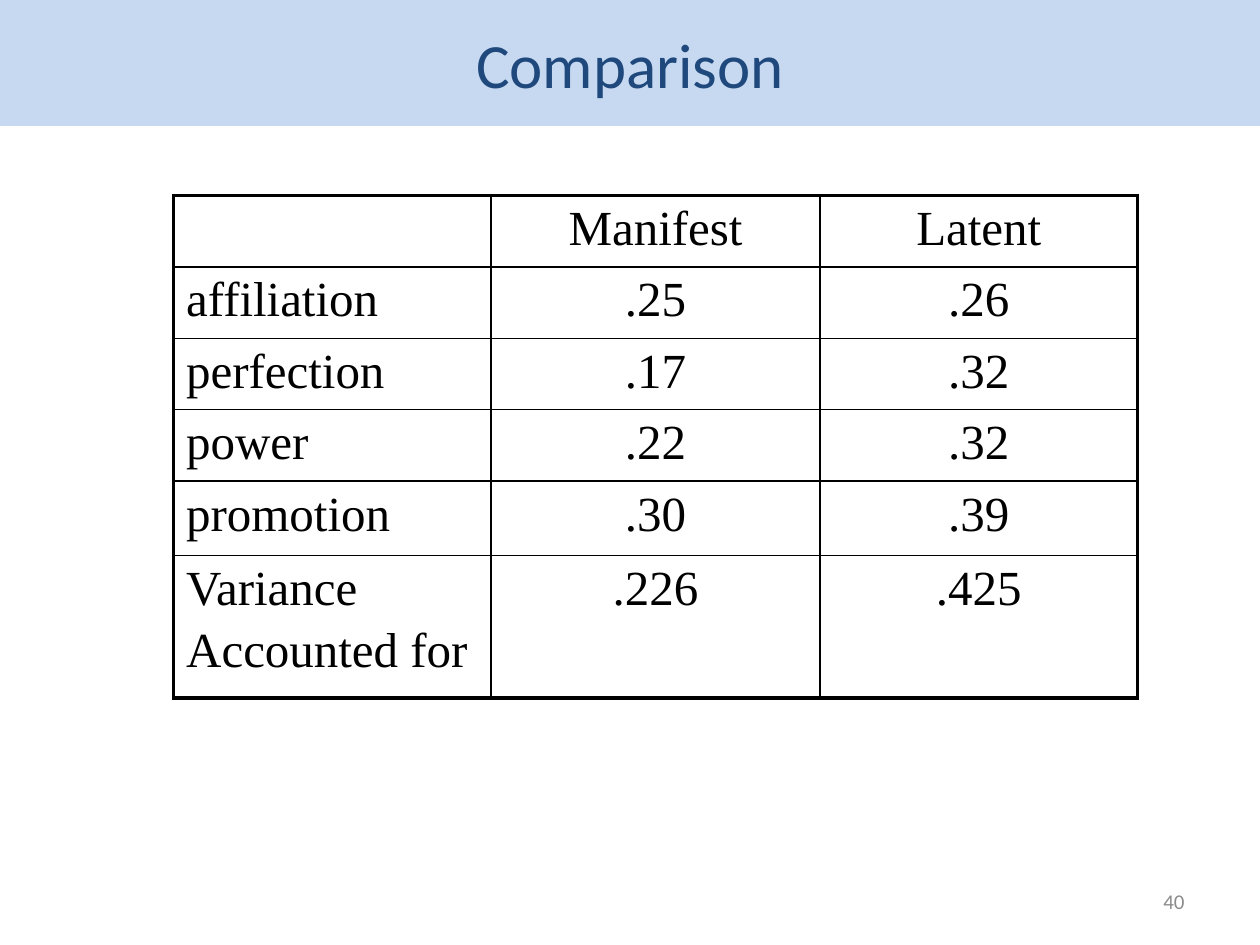
from lxml import etree
from pptx import Presentation
from pptx.dml.color import RGBColor
from pptx.enum.shapes import MSO_SHAPE
from pptx.enum.text import MSO_ANCHOR, PP_ALIGN
from pptx.oxml.ns import qn
from pptx.util import Cm, Pt

RECT = MSO_SHAPE.RECTANGLE
MIDDLE = MSO_ANCHOR.MIDDLE
LEFT, CENTER, RIGHT = PP_ALIGN.LEFT, PP_ALIGN.CENTER, PP_ALIGN.RIGHT

# Content
TITLE = "Comparison"
NUMBER = "40"
ROWS = [
    ("", "Manifest", "Latent"),
    ("affiliation", ".25", ".26"),
    ("perfection", ".17", ".32"),
    ("power", ".22", ".32"),
    ("promotion", ".30", ".39"),
    ("Variance\nAccounted for", ".226", ".425"),
]

# Style and sizes in cm
COLORS = {"band": "C6D9F1", "title": "1F497D", "text": "000000",
          "number": "8C8C8C", "border": "000000"}
SANS, SERIF = "Calibri", "Times New Roman"
WIDTHS = [6.4, 6.63, 6.4]
HEIGHTS = [1.44, 1.44, 1.44, 1.44, 1.5, 2.87]
THIN, THICK = Pt(1), Pt(2.25)


def color(name):
    return RGBColor.from_string(COLORS[name])


def write(frame, text, font, size, tint, align):
    for i, line in enumerate(text.split("\n")):
        para = frame.add_paragraph() if i else frame.paragraphs[0]
        para.alignment = align
        if i:
            para.space_before = Pt(4.5)
        if line:
            run = para.add_run()
            run.text = line
            run.font.name = font
            run.font.size = Pt(size)
            run.font.color.rgb = color(tint)


def outline(cell, edges):
    props = cell._tc.get_or_add_tcPr()
    for i, (side, outer) in enumerate(edges):
        line = etree.Element(qn("a:ln" + side), w=str(THICK if outer else THIN))
        fill = etree.SubElement(line, qn("a:solidFill"))
        etree.SubElement(fill, qn("a:srgbClr"), val=COLORS["border"])
        props.insert(i, line)


deck = Presentation()
deck.slide_width, deck.slide_height = Cm(25.4), Cm(19.05)
slide = deck.slides.add_slide(deck.slide_layouts[6])

# Table: thick outside, thin inside
table = slide.shapes.add_table(
    len(ROWS), len(WIDTHS), Cm(3.5), Cm(3.94),
    Cm(sum(WIDTHS)), Cm(sum(HEIGHTS))).table
for col, width in zip(table.columns, WIDTHS):
    col.width = Cm(width)
for row, height in zip(table.rows, HEIGHTS):
    row.height = Cm(height)
for r, row in enumerate(ROWS):
    for c, text in enumerate(row):
        cell = table.cell(r, c)
        cell.fill.background()
        outline(cell, [("L", c == 0), ("R", c == len(WIDTHS) - 1),
                       ("T", r == 0), ("B", r == len(ROWS) - 1)])
        write(cell.text_frame, text, SERIF, 28, "text", CENTER if c else LEFT)

# Title band
band = slide.shapes.add_shape(RECT, 0, 0, deck.slide_width, Cm(2.54))
band.shadow.inherit = False
band.fill.solid()
band.fill.fore_color.rgb = color("band")
band.line.fill.background()
band.text_frame.vertical_anchor = MIDDLE
write(band.text_frame, TITLE, SANS, 36, "title", CENTER)

# Slide number
box = slide.shapes.add_textbox(Cm(18.2), Cm(17.66), Cm(5.93), Cm(1.01))
box.text_frame.word_wrap = True
box.text_frame.vertical_anchor = MIDDLE
write(box.text_frame, NUMBER, SANS, 12, "number", RIGHT)

deck.save("out.pptx")
